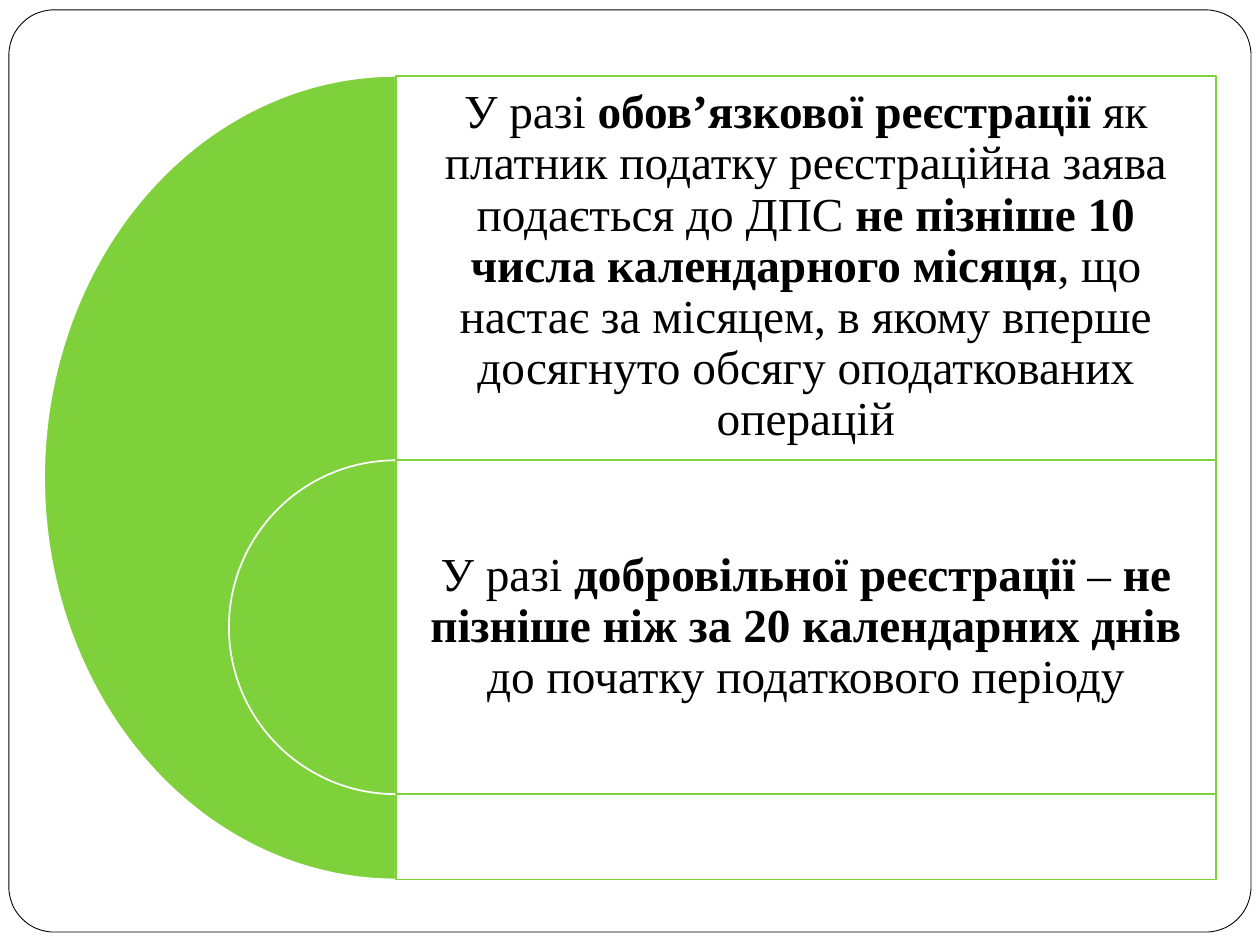
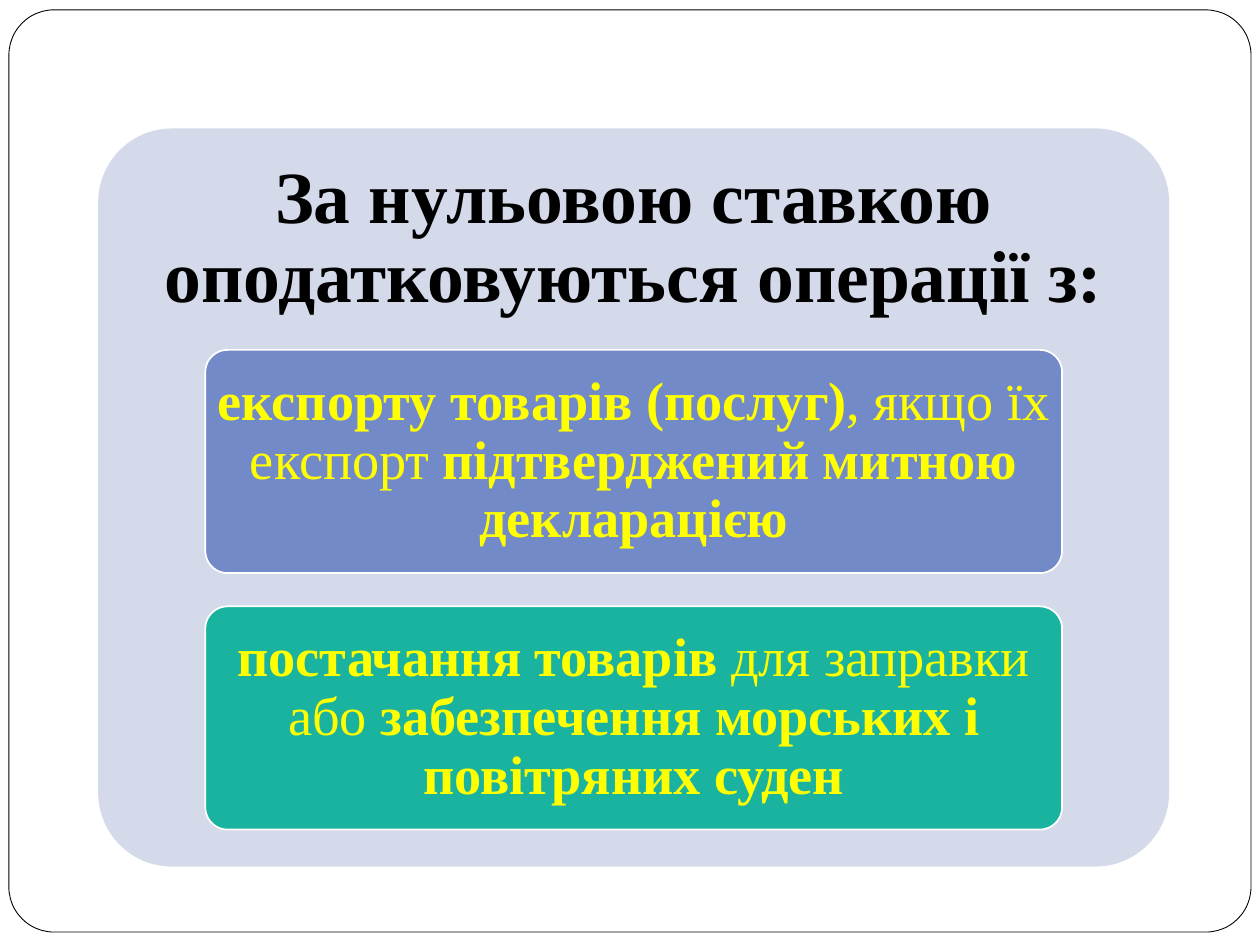
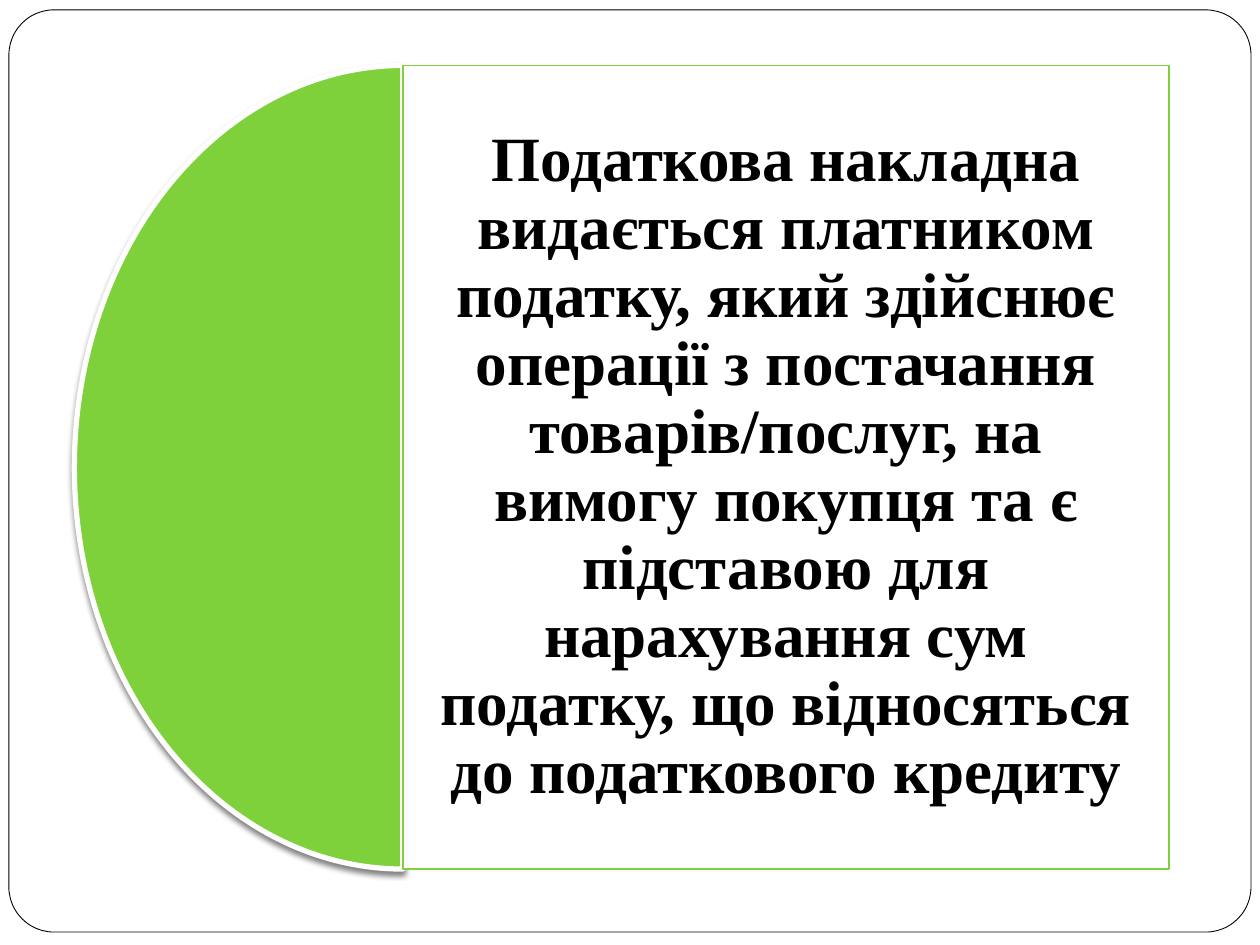
from collections import namedtuple

from lxml import etree
from pptx import Presentation
from pptx.dml.color import RGBColor
from pptx.enum import shapes, text
from pptx.oxml.ns import qn
from pptx.util import Cm, Pt

COLORS = {
    "paper": "FFFFFF",
    "ink": "000000",
    "green": "7FD13B",
    "pale": "D5DAEB",
    "blue": "738AC8",
    "teal": "1AB39F",
    "yellow": "FFFF00",
}
FONT = "Times New Roman"
SHAPE = shapes.MSO_SHAPE

# Lengths in centimetres
Box = namedtuple("Box", "left top width height")


def color(name):
    return RGBColor.from_string(COLORS[name])


def add_block(page, kind, box, fill, line=None, weight=1, adjust=(), opacity=None):
    """Add a preset shape with flat formatting."""
    block = page.shapes.add_shape(kind, *map(Cm, box))
    block.shadow.inherit = False
    for index, value in enumerate(adjust):
        block.adjustments[index] = value
    block.fill.solid()
    block.fill.fore_color.rgb = color(fill)
    if opacity:
        tint = block._element.spPr.find(qn("a:solidFill"))[0]
        etree.SubElement(tint, qn("a:alpha"), val=str(opacity * 1000))
    if line:
        block.line.color.rgb = color(line)
        block.line.width = Pt(weight)
    else:
        block.line.fill.background()
    return block


def add_words(page, box, words, size, ink="ink", bold=False, inset=(0.28, 0.28)):
    """Add centred text; ** switches bold on and off."""
    label = page.shapes.add_textbox(*map(Cm, box))
    frame = label.text_frame
    frame.word_wrap = True
    frame.vertical_anchor = text.MSO_ANCHOR.MIDDLE
    frame.margin_left = frame.margin_right = Cm(inset[0])
    frame.margin_top = frame.margin_bottom = Cm(inset[1])
    para = frame.paragraphs[0]
    para.alignment = text.PP_ALIGN.CENTER
    para.line_spacing = 0.9
    for index, part in enumerate(words.split("**")):
        if part:
            span = para.add_run()
            span.text = part
            span.font.name = FONT
            span.font.size = Pt(size)
            span.font.bold = bold or index % 2 == 1
            span.font.color.rgb = color(ink)


def add_drop_shadow(block):
    effects = block._element.spPr.find(qn("a:effectLst"))
    shadow = etree.SubElement(effects, qn("a:outerShdw"), blurRad=str(Pt(3)),
                              dist=str(Pt(2)), dir="5400000", rotWithShape="0")
    tint = etree.SubElement(shadow, qn("a:srgbClr"), val=COLORS["ink"])
    etree.SubElement(tint, qn("a:alpha"), val="50000")


def add_page(deck):
    """Add a blank page with the rounded frame."""
    page = deck.slides.add_slide(deck.slide_layouts[6])
    add_block(page, SHAPE.ROUNDED_RECTANGLE, Box(0.18, 0.2, 25.04, 18.59),
              "paper", "ink", 0.5, adjust=[0.049])
    return page


def add_half_disc(page, box, disc_width, weight=1):
    """Half disc at the left of the box, panel from its centre to the right edge."""
    disc = add_block(page, SHAPE.PIE, box._replace(width=disc_width),
                     "green", "paper", weight, adjust=[54, 162])
    radius = disc_width / 2
    panel = box._replace(left=box.left + radius, width=box.width - radius)
    add_block(page, SHAPE.RECTANGLE, panel, "paper", "green", opacity=90)
    return disc, panel


def build_registration(page, box):
    # Outer half disc, its text fills the panel above the inner one
    _, panel = add_half_disc(page, box, 14.18)
    add_words(page, panel._replace(height=7.7),
              "У разі **обов’язкової реєстрації** як платник податку реєстраційна "
              "заява подається до ДПС **не пізніше 10 числа календарного місяця**, "
              "що настає за місяцем, в якому вперше досягнуто обсягу "
              "оподаткованих операцій", 27)
    # Inner half disc, same centre line and right edge
    size = 6.73
    inset = (14.18 - size) / 2
    inner = Box(box.left + inset, box.top + 7.75, box.width - inset, size)
    _, panel = add_half_disc(page, inner, size)
    add_words(page, panel,
              "У разі **добровільної реєстрації** – **не пізніше ніж за 20 "
              "календарних днів** до початку податкового періоду", 27)


def build_zero_rate(page, box):
    # Card with heading
    add_block(page, SHAPE.ROUNDED_RECTANGLE, box, "pale", adjust=[0.1])
    heading = box._replace(height=box.height * 0.3)
    add_words(page, heading, "За нульовою ставкою оподатковуються операції з:",
              42, bold=True, inset=(0.43, 0.43))
    # Operations stacked below the heading
    operations = [
        ("blue", "**експорту товарів (послуг)**, якщо їх експорт "
                 "**підтверджений митною декларацією**"),
        ("teal", "**постачання товарів** для заправки або "
                 "**забезпечення морських і повітряних суден**"),
    ]
    for index, (fill, words) in enumerate(operations):
        item = Box(box.left + box.width * 0.1,
                   box.top + heading.height + index * 5.17,
                   box.width * 0.8, 4.5)
        add_block(page, SHAPE.ROUNDED_RECTANGLE, item, fill, "paper", adjust=[0.1])
        add_words(page, item, words, 31, "yellow", inset=(0.23, 0.15))


def build_invoice(page, box):
    disc, panel = add_half_disc(page, box, 13.24, weight=3)
    add_drop_shadow(disc)
    add_words(page, panel,
              "Податкова накладна видається платником податку, який здійснює "
              "операції з постачання товарів/послуг, на вимогу покупця та є "
              "підставою для нарахування сум податку, що відносяться до "
              "податкового кредиту", 36, bold=True, inset=(0.38, 0.38))


def main():
    deck = Presentation()
    deck.slide_width, deck.slide_height = Cm(25.4), Cm(19.05)
    build_registration(add_page(deck), Box(0.89, 1.53, 23.62, 16.2))
    build_zero_rate(add_page(deck), Box(1.98, 2.59, 21.59, 14.88))
    build_invoice(add_page(deck), Box(1.5, 1.32, 22.07, 16.2))
    deck.save("out.pptx")


if __name__ == "__main__":
    main()
